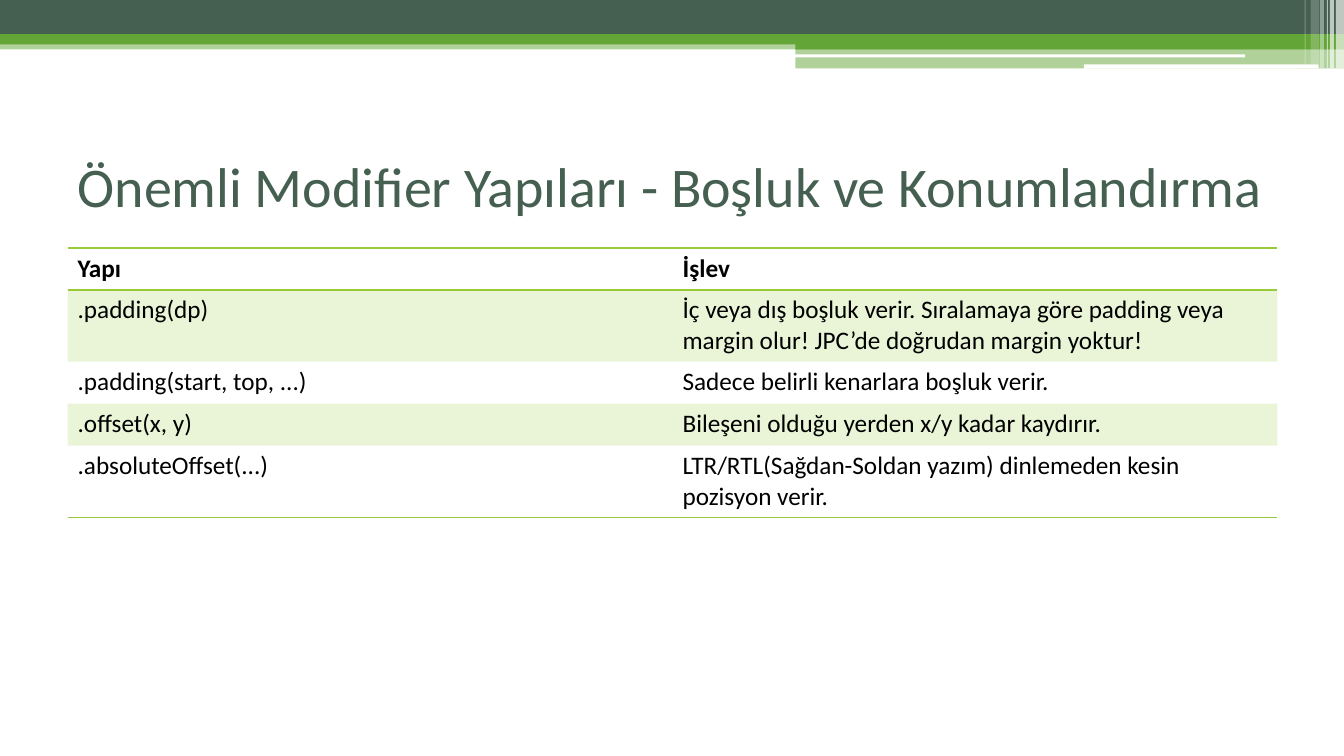
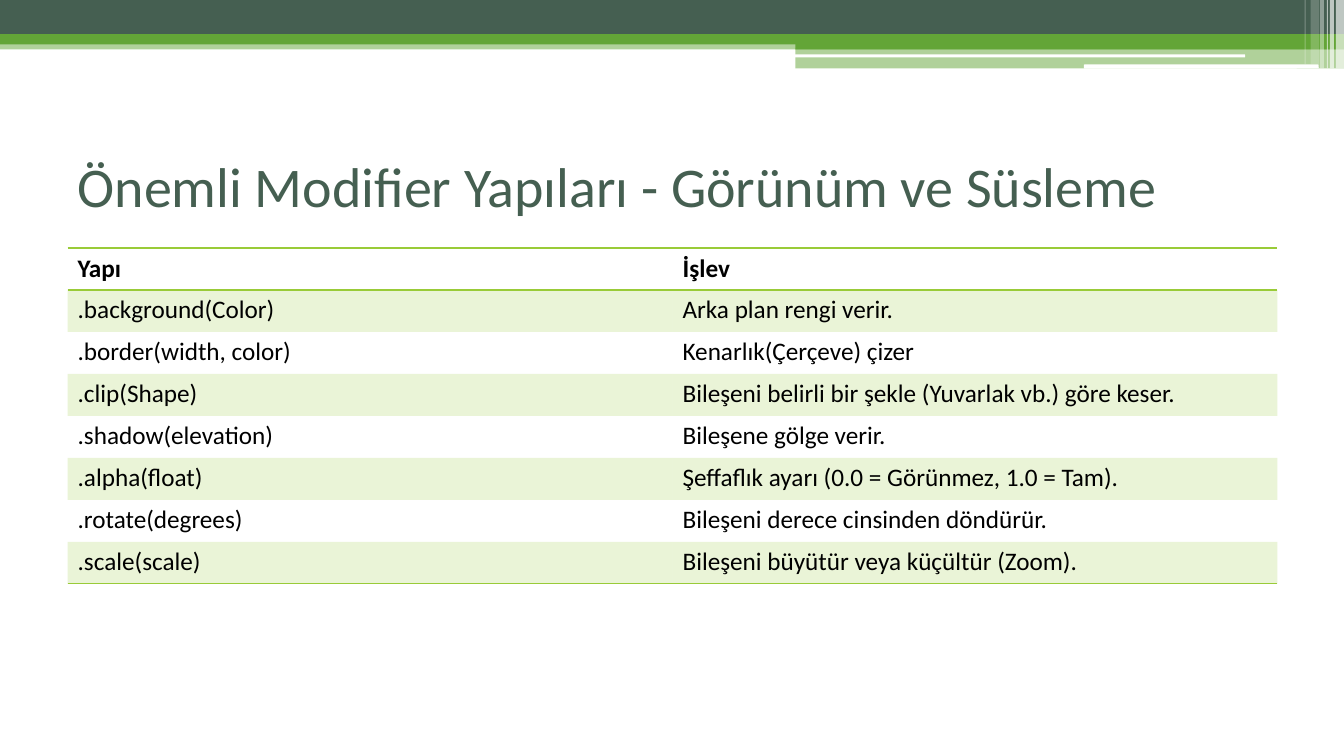
from dataclasses import dataclass

from lxml.etree import SubElement
from pptx import Presentation
from pptx.dml.color import RGBColor as RGB
from pptx.enum.shapes import MSO_SHAPE as Shape
from pptx.enum.text import MSO_ANCHOR as Anchor, MSO_AUTO_SIZE as Fit, PP_ALIGN as Align
from pptx.oxml.ns import qn
from pptx.util import Inches, Pt


@dataclass(frozen=True)
class Theme:
    font: str = "Calibri"
    dark: str = "455F51"
    green: str = "63A537"
    lime: str = "99CB38"
    white: str = "FFFFFF"
    black: str = "000000"
    title: int = 40
    body: int = 18
    rule: int = 1
    tint: int = 20


T = Theme()
TITLE_BOX = (0.67, 1.25, 12, 1.17)
TABLE_LEFT, TABLE_TOP, TABLE_WIDTH = 0.67, 2.46, 12
ROW_HEIGHT = 5 / 12
NO_STYLE = "{2D5ABB26-0587-4C30-8999-92F81FD0307C}"

# left, top, width, height, colour, opacity in percent
BANDS = [
    (0, 0.4, 13.33, 0.09, T.green, 50),
    (0, 0, 13.33, 0.34, T.dark, 100),
    (0, 0.34, 13.33, 0.1, T.green, 100),
    (7.89, 0.39, 5.44, 0.1, T.green, 100),
    (7.89, 0.48, 5.44, 0.2, T.green, 50),
]
PILLS = [
    (7.88, 0.54, 4.47, 0.03, T.white, 100),
    (10.75, 0.64, 2.33, 0.04, T.white, 100),
]
# left, width, height, opacity in percent
STRIPES = [
    (13.25, 0.08, 0.68, 65),
    (13.19, 0.04, 0.68, 65),
    (13.16, 0.01, 0.68, 60),
    (13.09, 0.04, 0.68, 40),
    (13, 0.08, 0.64, 20),
    (12.94, 0.01, 0.64, 30),
]

HEADER = ("Yapı", "İşlev")
SLIDES = [
    ("Önemli Modifier Yapıları - Boşluk ve Konumlandırma", [
        (".padding(dp)", "İç veya dış boşluk verir. Sıralamaya göre padding veya "
                         "margin olur! JPC’de doğrudan margin yoktur!"),
        (".padding(start, top, ...)", "Sadece belirli kenarlara boşluk verir."),
        (".offset(x, y)", "Bileşeni olduğu yerden x/y kadar kaydırır."),
        (".absoluteOffset(...)",
         "LTR/RTL(Sağdan-Soldan yazım) dinlemeden kesin pozisyon verir."),
    ]),
    ("Önemli Modifier Yapıları - Görünüm ve Süsleme", [
        (".background(Color)", "Arka plan rengi verir."),
        (".border(width, color)", "Kenarlık(Çerçeve) çizer"),
        (".clip(Shape)", "Bileşeni belirli bir şekle (Yuvarlak vb.) göre keser."),
        (".shadow(elevation)", "Bileşene gölge verir."),
        (".alpha(float)", "Şeffaflık ayarı (0.0 = Görünmez, 1.0 = Tam)."),
        (".rotate(degrees)", "Bileşeni derece cinsinden döndürür."),
        (".scale(scale)", "Bileşeni büyütür veya küçültür (Zoom)."),
    ]),
]


def paint(fill, node, color, alpha):
    """Fill solidly; node is the XML element that holds the fill."""
    fill.solid()
    fill.fore_color.rgb = RGB.from_string(color)
    if alpha < 100:
        tone = node.find(qn("a:solidFill")).find(qn("a:srgbClr"))
        SubElement(tone, qn("a:alpha"), val=str(alpha * 1000))


def style(par, size, color, bold=False):
    par.alignment = Align.LEFT
    font = par.font
    font.name, font.size, font.bold = T.font, Pt(size), bold
    font.color.rgb = RGB.from_string(color)


def set_layout(layout, slide):
    """Draw the bands on the slide, then move them to its layout."""
    title = layout.placeholders[0]
    title.left, title.top, title.width, title.height = map(Inches, TITLE_BOX)
    title.text_frame.vertical_anchor = Anchor.MIDDLE
    title.text_frame.auto_size = Fit.NONE

    parts = [(Shape.RECTANGLE, *band) for band in BANDS]
    parts += [(Shape.ROUNDED_RECTANGLE, *pill) for pill in PILLS]
    parts += [(Shape.RECTANGLE, left, 0, width, height, T.white, alpha)
              for left, width, height, alpha in STRIPES]
    for num, (kind, *box, color, alpha) in enumerate(parts, 100):
        band = slide.shapes.add_shape(kind, *map(Inches, box))
        band.shadow.inherit = False
        band.line.fill.background()
        paint(band.fill, band.element.spPr, color, alpha)
        band.element.nvSpPr.cNvPr.set("id", str(num))
        layout.shapes.element.append(band.element)


def add_rule(cell, edge):
    line = SubElement(cell._tc.get_or_add_tcPr(), qn(f"a:{edge}"), w=str(Pt(T.rule)))
    SubElement(SubElement(line, qn("a:solidFill")), qn("a:srgbClr"), val=T.lime)


def add_grid(slide, rows):
    rows = [HEADER, *rows]
    frame = slide.shapes.add_table(
        len(rows), len(HEADER), Inches(TABLE_LEFT), Inches(TABLE_TOP),
        Inches(TABLE_WIDTH), Inches(ROW_HEIGHT * len(rows)))
    grid = frame.table
    grid._tbl.tblPr.find(qn("a:tableStyleId")).text = NO_STYLE
    for r, row in enumerate(rows):
        for c, text in enumerate(row):
            cell = grid.cell(r, c)
            cell.text = text
            style(cell.text_frame.paragraphs[0], T.body, T.black, r == 0)
            if r == 0:
                add_rule(cell, "lnT")
            if r in (0, len(rows) - 1):
                add_rule(cell, "lnB")
            if r % 2:
                paint(cell.fill, cell._tc.tcPr, T.lime, T.tint)
            else:
                cell.fill.background()


def main():
    deck = Presentation()
    deck.slide_width, deck.slide_height = Inches(13.33), Inches(7.5)
    layout = deck.slide_layouts.get_by_name("Title Only")
    for num, (title, rows) in enumerate(SLIDES):
        slide = deck.slides.add_slide(layout)
        if num == 0:
            set_layout(layout, slide)
        slide.shapes.title.text = title
        style(slide.shapes.title.text_frame.paragraphs[0], T.title, T.dark)
        add_grid(slide, rows)
    deck.save("out.pptx")


if __name__ == "__main__":
    main()
